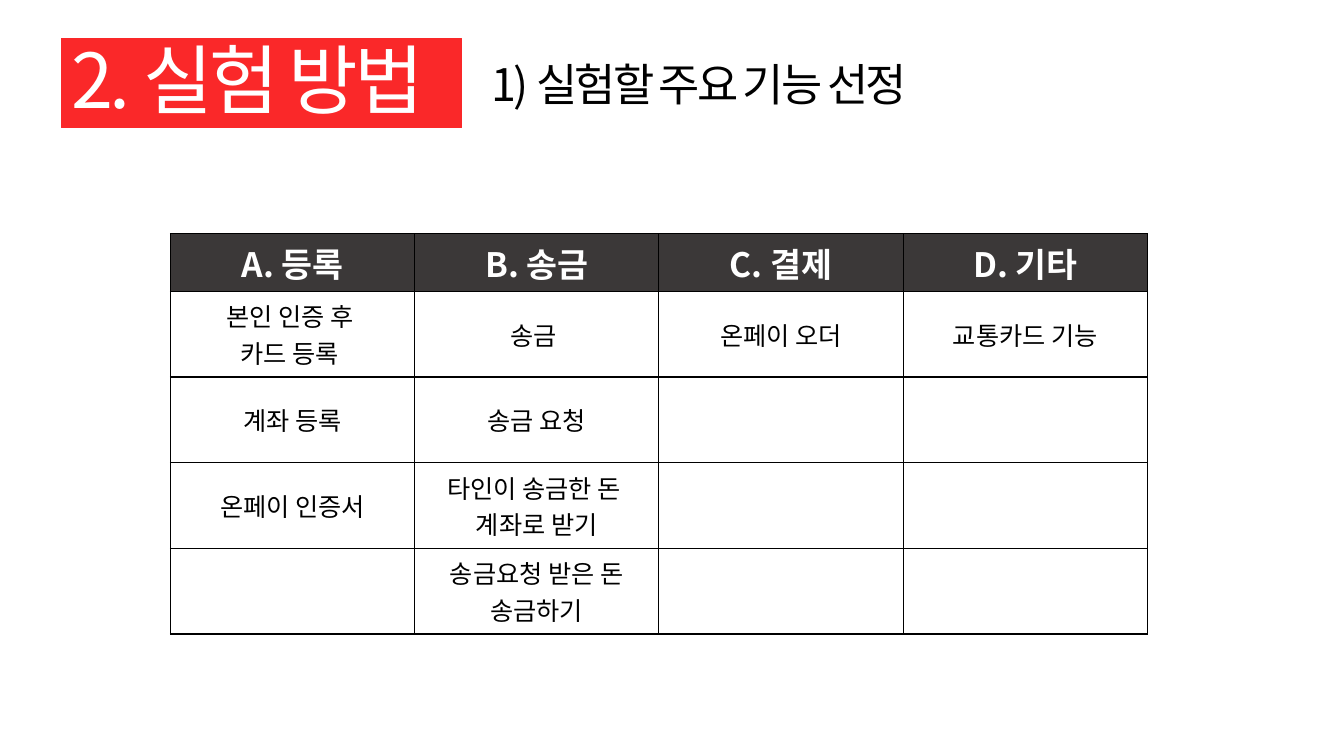
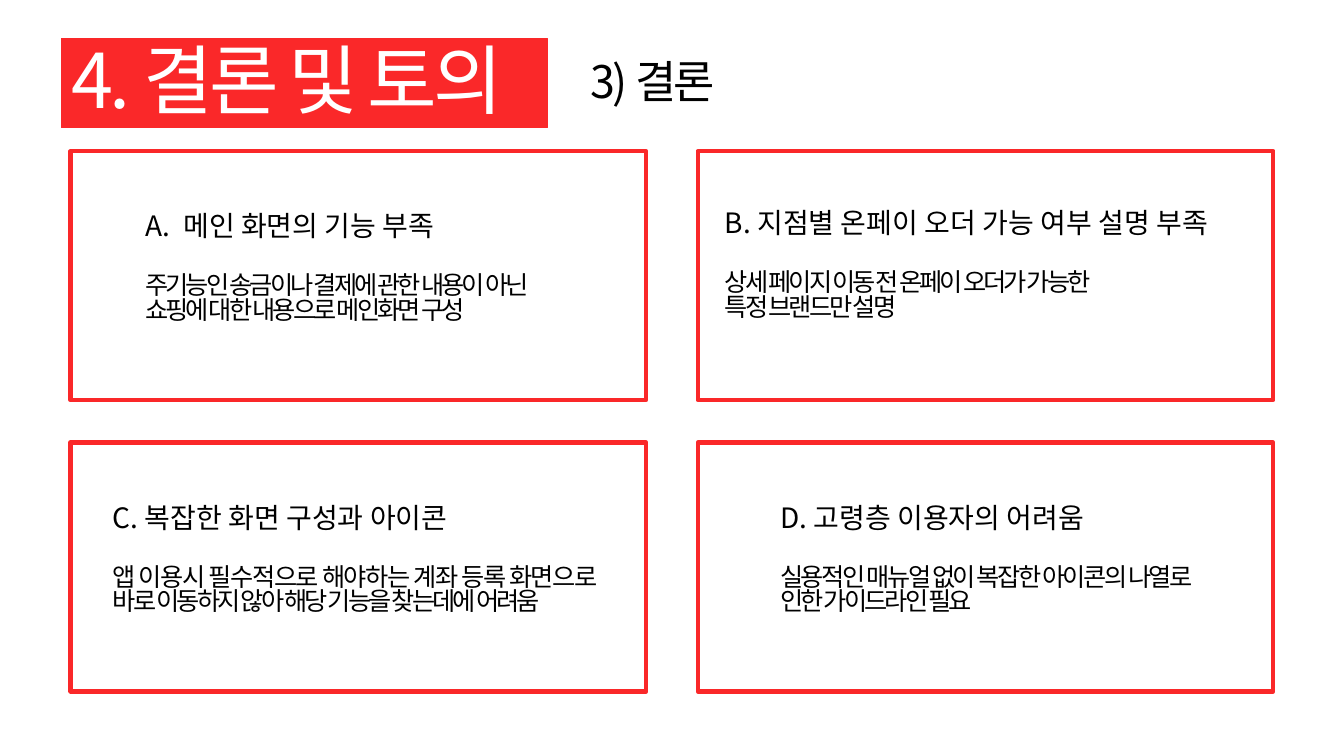
from dataclasses import dataclass

import lxml.etree
import pptx
import pptx.dml.color
import pptx.enum.shapes
import pptx.enum.text
import pptx.oxml.ns
import pptx.util

Inches = pptx.util.Inches
Pt = pptx.util.Pt
Color = pptx.dml.color.RGBColor
Align = pptx.enum.text.PP_ALIGN
Anchor = pptx.enum.text.MSO_ANCHOR
Fit = pptx.enum.text.MSO_AUTO_SIZE
qn = pptx.oxml.ns.qn

RED = Color(0xFA, 0x28, 0x29)
DARK = Color(0x3B, 0x38, 0x38)
BLACK = Color(0, 0, 0)
WHITE = Color(0xFF, 0xFF, 0xFF)
FONT = "Noto Sans CJK KR"


@dataclass
class Head:
    title: str
    width: float
    sub: str
    left: float
    top: float
    high: float


@dataclass
class Note:
    col: int
    row: int
    left: float
    top: float
    width: float
    title: str
    lines: list[str]
    auto: bool = False


HEADS = [
    Head("2. 실험 방법", 3.97, "1) 실험할 주요 기능 선정", 4.78, 0.57, 0.62),
    Head("4. 결론 및 토의", 4.82, "3) 결론", 5.76, 0.54, 0.89),
]

ROWS = [
    ["A. 등록", "B. 송금", "C. 결제", "D. 기타"],
    ["본인 인증 후 \n카드 등록 ", "송금 ", "온페이 오더", "교통카드 기능"],
    ["계좌 등록", "송금 요청", "", ""],
    ["온페이 인증서", "타인이 송금한 돈 \n계좌로 받기", "", ""],
    ["", "송금요청 받은 돈 송금하기", "", ""],
]

NOTES = [
    Note(0, 0, 1.34, 2.06, 4.34, "메인 화면의 기능 부족",
         ["주기능인 송금이나 결제에 관한 내용이 아닌 ",
          "쇼핑에 대한 내용으로 메인화면 구성"], True),
    Note(1, 0, 7.09, 2.03, 5.38, "B. 지점별 온페이 오더 가능 여부 설명 부족",
         ["상세 페이지 이동 전 온페이 오더가 가능한 ",
          "특정 브랜드만 설명"]),
    Note(0, 1, 1.02, 4.95, 4.98, "C. 복잡한 화면 구성과 아이콘",
         ["앱 이용시 필수적으로 해야하는 계좌 등록 화면으로 "
          "바로 이동하지 않아 해당 기능을 찾는데에 어려움"]),
    Note(1, 1, 7.64, 4.95, 4.26, "D. 고령층 이용자의 어려움",
         ["실용적인 매뉴얼 없이 복잡한 아이콘의 나열로 "
          "인한 가이드라인 필요"]),
]


def add_run(para, text: str, size: float, color: Color = BLACK,
            gap: float = 0, bold: bool = False) -> None:
    run = para.add_run()
    run.text = text
    font = run.font
    font.size = Pt(size)
    font.bold = bold
    font.color.rgb = color
    font.name = FONT
    props = run._r.get_or_add_rPr()
    lxml.etree.SubElement(props, qn("a:ea")).set("typeface", FONT)
    if gap:
        props.set("spc", str(round(gap * 100)))


def next_para(frame, first: bool):
    return frame.paragraphs[0] if first else frame.add_paragraph()


def add_box(slide, left: float, top: float, width: float, high: float):
    box = slide.shapes.add_textbox(
        Inches(left), Inches(top), Inches(width), Inches(high))
    box.text_frame.word_wrap = True
    return box.text_frame


def add_head(deck, head: Head):
    slide = deck.slides.add_slide(deck.slide_layouts[5])
    title = slide.shapes.title
    title.left, title.top = Inches(0.61), Inches(0.38)
    title.width, title.height = Inches(head.width), Inches(0.89)
    title.fill.solid()
    title.fill.fore_color.rgb = RED
    title.line.color.rgb = RED
    title.line.width = Pt(0.75)
    frame = title.text_frame
    frame.auto_size = Fit.NONE
    frame.vertical_anchor = Anchor.TOP
    para = frame.paragraphs[0]
    para.alignment = Align.LEFT
    para.line_spacing = 0.9
    add_run(para, head.title, 54, WHITE, -2.7)
    para = add_box(slide, head.left, head.top, 6.26, head.high).paragraphs[0]
    para.alignment = Align.JUSTIFY
    para.line_spacing = 0.9
    add_run(para, head.sub, 32, gap=-2)
    return slide


def add_edges(cell) -> None:
    props = cell._tc.get_or_add_tcPr()
    for spot, side in enumerate(("lnL", "lnR", "lnT", "lnB")):
        edge = lxml.etree.Element(qn(f"a:{side}"), w=str(Pt(1)))
        fill = lxml.etree.SubElement(edge, qn("a:solidFill"))
        lxml.etree.SubElement(fill, qn("a:srgbClr")).set("val", str(BLACK))
        props.insert(spot, edge)


def add_grid(slide) -> None:
    grid = slide.shapes.add_table(
        len(ROWS), len(ROWS[0]), Inches(1.69), Inches(2.32),
        Inches(9.69), Inches(3.99)).table
    for y, texts in enumerate(ROWS):
        grid.rows[y].height = Inches(0.85 if y else 0.57)
        for x, text in enumerate(texts):
            cell = grid.cell(y, x)
            cell.vertical_anchor = Anchor.MIDDLE
            if y:
                cell.fill.background()
            else:
                cell.fill.solid()
                cell.fill.fore_color.rgb = DARK
            add_edges(cell)
            if not text:
                continue
            for i, line in enumerate(text.split("\n")):
                para = next_para(cell.text_frame, i == 0)
                para.alignment = Align.CENTER
                if y:
                    add_run(para, line, 18)
                else:
                    add_run(para, line, 24, WHITE, bold=True)


def add_frame(slide, col: int, row: int) -> None:
    rect = slide.shapes.add_shape(
        pptx.enum.shapes.MSO_SHAPE.RECTANGLE,
        Inches(0.7 + 6.22 * col), Inches(1.5 + 2.89 * row),
        Inches(5.71), Inches(2.47))
    rect.shadow.inherit = False
    rect.fill.background()
    rect.line.color.rgb = RED
    rect.line.width = Pt(3)


def add_note(slide, note: Note) -> None:
    frame = add_box(slide, note.left, note.top, note.width, 1.95)
    frame.auto_size = Fit.SHAPE_TO_FIT_TEXT
    para = frame.paragraphs[0]
    para.line_spacing = 0.9
    if note.auto:
        props = para._p.get_or_add_pPr()
        props.set("marL", str(Inches(0.38)))
        props.set("indent", str(-Inches(0.38)))
        mark = lxml.etree.SubElement(props, qn("a:buFont"))
        mark.set("typeface", FONT)
        mark = lxml.etree.SubElement(props, qn("a:buAutoNum"))
        mark.set("type", "alphaUcPeriod")
    add_run(para, note.title, 20)
    for i, line in enumerate(note.lines):
        para = frame.add_paragraph()
        para.alignment = Align.JUSTIFY
        para.line_spacing = 0.82
        para.space_before = Pt(0 if i else 23)
        add_run(para, line, 18, gap=-2)


def main() -> None:
    deck = pptx.Presentation()
    deck.slide_width = Inches(13.33)
    deck.slide_height = Inches(7.5)
    plan, end = [add_head(deck, head) for head in HEADS]
    add_grid(plan)
    for note in NOTES:
        add_frame(end, note.col, note.row)
    for note in NOTES:
        add_note(end, note)
    deck.save("out.pptx")


if __name__ == "__main__":
    main()
